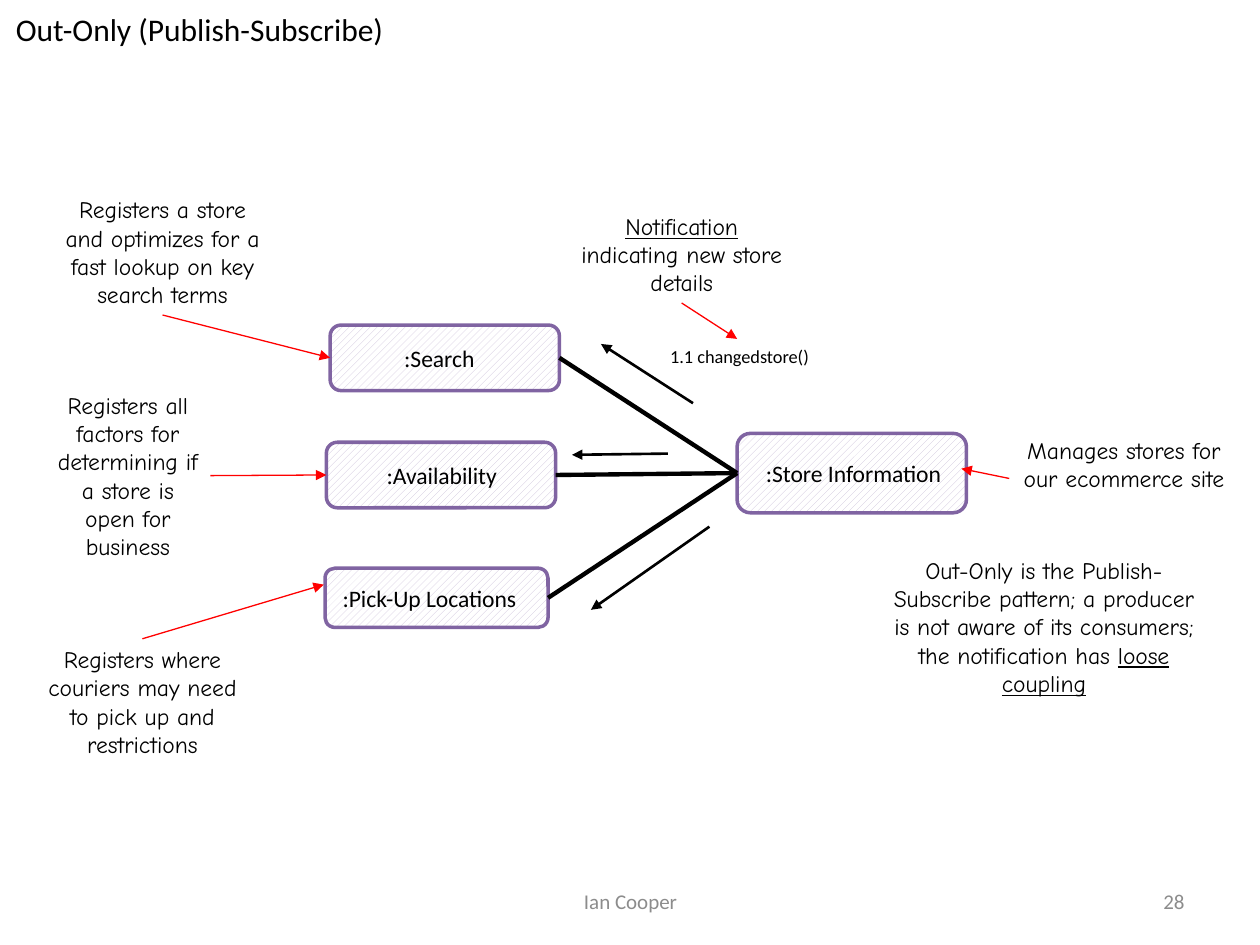
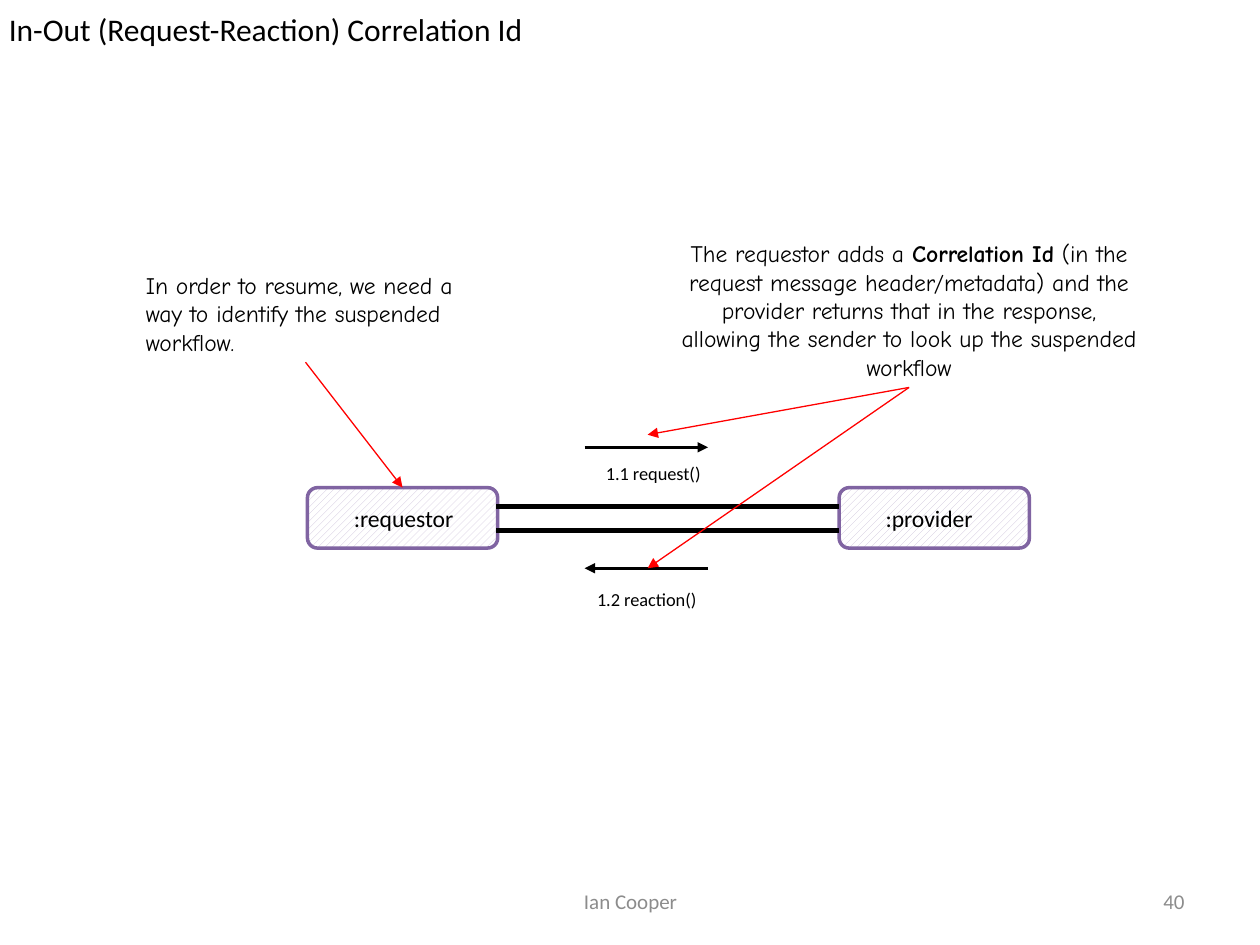
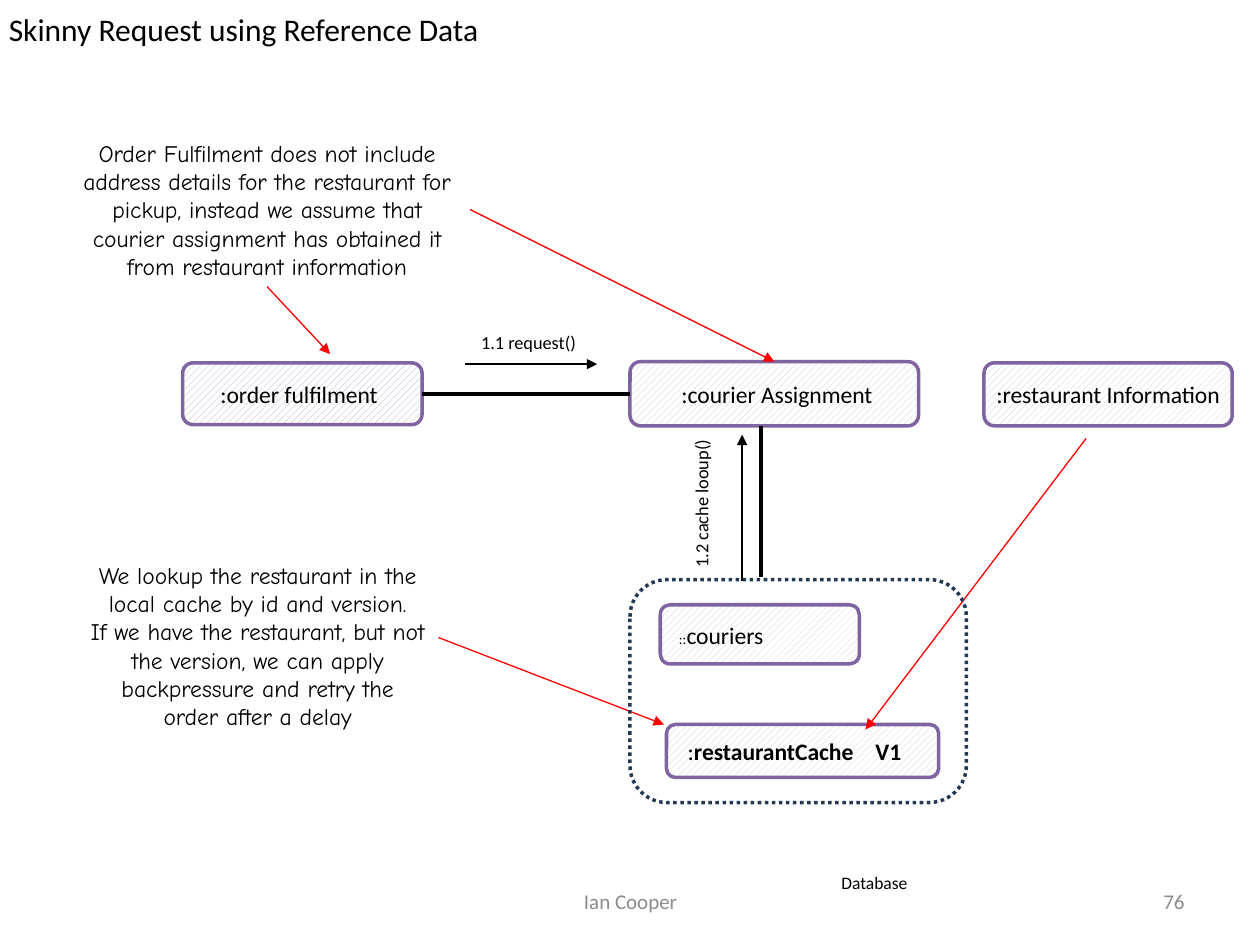
from dataclasses import dataclass
from math import ceil
from lxml.etree import SubElement
from pptx import Presentation
from pptx.dml.color import RGBColor
from pptx.enum.dml import MSO_LINE, MSO_PATTERN
from pptx.enum.shapes import MSO_CONNECTOR, MSO_SHAPE
from pptx.enum.text import MSO_ANCHOR, MSO_AUTO_SIZE, PP_ALIGN
from pptx.oxml.ns import qn
from pptx.util import Inches, Pt


@dataclass(frozen=True)
class Theme:
    body: str = "Calibri"
    hand: str = "Comic Neue"
    ink: RGBColor = RGBColor.from_string("000000")
    paper: RGBColor = RGBColor.from_string("FFFFFF")
    muted: RGBColor = RGBColor.from_string("8C8C8C")
    border: RGBColor = RGBColor.from_string("8064A2")
    hatch: RGBColor = RGBColor.from_string("CCC1DA")
    dark_hatch: RGBColor = RGBColor.from_string("B3A2C7")
    group: RGBColor = RGBColor.from_string("233953")
    pointer: RGBColor = RGBColor.from_string("FF0000")
    title: float = 18
    text: float = 13.5
    footer: float = 12
    message: float = 10.5
    caption: float = 10
    small: float = 8


T = Theme()
BOLD, UNDERLINE, SMALL = {"bold": True}, {"underline": True}, {"size": Pt(T.small)}
TOP, LEFT, BOTTOM, RIGHT = range(4)
LINE_STYLES = {
    "links": (T.ink, 2.5, False),
    "flows": (T.ink, 1.5, True),
    "pointers": (T.pointer, 0.75, True),
}


def add_text(s, x, y, content, size, w=None, font=T.body, color=T.ink, align=PP_ALIGN.LEFT, tab=None):
    paragraphs = [[(content, {})]] if isinstance(content, str) else content
    lengths = [sum(len(text) for text, style in runs) for runs in paragraphs]
    lines = 1
    if font == T.hand:
        lines = sum(ceil(n * 0.09 / (w - 0.2)) for n in lengths)
    if w is None:
        w = tab + 0.45 if tab else max(lengths) * size * 0.006 + 0.2
    h = lines * size / 60 + 0.1
    tb = s.shapes.add_textbox(*map(Inches, (x, y, w, h)))
    tf = tb.text_frame
    tf.word_wrap = True
    tf.auto_size = MSO_AUTO_SIZE.SHAPE_TO_FIT_TEXT
    for i, runs in enumerate(paragraphs):
        p = tf.add_paragraph() if i else tf.paragraphs[0]
        p.alignment = align
        if tab:
            tabs = SubElement(p._p.get_or_add_pPr(), qn("a:tabLst"))
            SubElement(tabs, qn("a:tab"), pos=str(Inches(tab)), algn="l")
        for text, style in runs:
            r = p.add_run()
            r.text = text
            r.font.name, r.font.size = font, Pt(size)
            r.font.color.rgb = color
            for key, value in style.items():
                setattr(r.font, key, value)
    return tb


slides = [
    {
        "title": " Out-Only (Publish-Subscribe)", "number": "28",
        "boxes": [
            (":Pick-Up Locations", 2.58, 4.51, 1.77, 0.47, 2.62),
            (":Store Information", 5.85, 3.44, 1.82, 0.63, 5.98),
            (":Search", 2.62, 2.58, 1.82, 0.52, 3.11),
            (":Availability", 2.59, 3.51, 1.82, 0.52, 2.97),
        ],
        "messages": [("1.1 changedstore()", 5.22, 2.69)],
        "notes": {
            "manages": (8.01, 3.41, 1.82, "Manages stores for our ecommerce site"),
            "search": (0.38, 1.5, 1.82,
                       "Registers a store and optimizes for a fast lookup on key search terms"),
            "notification": (4.5, 1.63, 1.82, [[
                ("Notification", UNDERLINE), (" indicating new store details", {})]]),
            "factors": (0.36, 3.05, 1.31,
                        "Registers all factors for determining if a store is open for business"),
            "couriers": (0.22, 5.07, 1.82,
                         "Registers where couriers may need to pick up and restrictions"),
            "pattern": (6.91, 4.36, 2.75, [[
                ("Out-Only is the Publish-Subscribe pattern; a producer is not aware of its consumers; "
                 "the notification has ", {}),
                ("loose coupling", UNDERLINE)]]),
        },
        "links": [((":Store Information", LEFT), (name, RIGHT))
                  for name in (":Search", ":Pick-Up Locations", ":Availability")],
        "flows": [((5.5, 3.2), (4.77, 2.73)), ((5.63, 4.18), (4.69, 4.84)), ((5.3, 3.6), (4.54, 3.61))],
        "pointers": [
            (("manages", LEFT), (7.63, 3.72)),
            (("search", BOTTOM), (":Search", LEFT)),
            (("notification", BOTTOM), (5.85, 2.69)),
            (("factors", RIGHT), (":Availability", LEFT)),
            (("couriers", TOP), (2.57, 4.64)),
        ],
    },
    {
        "title": "In-Out (Request-Reaction) Correlation Id", "number": "40",
        "boxes": [
            (":requestor", 2.44, 3.87, 1.51, 0.48, 2.71),
            (":provider", 6.66, 3.87, 1.51, 0.48, 6.93),
        ],
        "messages": [("1.1 request()", 4.71, 3.62), ("1.2 reaction()", 4.64, 4.62)],
        "notes": {
            "correlation": (5.31, 1.85, 3.81, [[
                ("The requestor adds a ", {}),
                ("Correlation Id", BOLD),
                (" (in the request message header/metadata) and the provider returns that in the response, "
                 "allowing the sender to look up the suspended workflow", {})]]),
            "resume": (1.06, 2.1, 2.73,
                       "In order to resume, we need a way to identify the suspended workflow."),
        },
        "links": [((3.94, y), (6.66, y)) for y in (4.02, 4.21)],
        "flows": [((4.64, 3.55), (5.62, 3.55)), ((5.62, 4.51), (4.64, 4.51))],
        "pointers": [
            (("correlation", BOTTOM), (5.14, 4.51)),
            (("correlation", BOTTOM), (5.14, 3.45)),
            (("resume", BOTTOM), (":requestor", TOP)),
        ],
    },
    {
        "title": "Skinny Request using Reference Data", "number": "76",
        "boxes": [
            (":order fulfilment", 1.45, 2.88, 1.9, 0.49, 1.65),
            (":courier Assignment", 5, 2.87, 2.29, 0.51, 5.31),
            (":restaurantCache", 5.29, 5.75, 2.16, 0.42, 5.36),
            ("::couriers", 5.24, 4.8, 1.58, 0.47, 5.29),
            (":restaurant Information", 7.81, 2.88, 1.97, 0.5, 7.81),
        ],
        "messages": [("1.1 request()", 3.72, 2.58), ("1.2 cache looup()", 4.93, 3.83)],
        "notes": {
            "address": (0.51, 1.05, 3.22,
                        "Order Fulfilment does not include address details for the restaurant for pickup, "
                        "instead we assume that courier assignment has obtained it from restaurant "
                        "information"),
            "lookup": (0.62, 4.4, 2.85, [
                [("We lookup the restaurant in the local cache by id and version.", {})],
                [("If we have the restaurant, but not the version, we can apply backpressure and retry "
                  "the order after a delay", {})]]),
        },
        "links": [
            ((":order fulfilment", RIGHT), (":courier Assignment", LEFT)),
            ((6.04, 4.58), (6.04, 3.38)),
        ],
        "flows": [((3.69, 2.89), (4.74, 2.89)), ((5.89, 4.61), (5.89, 3.45))],
        "pointers": [
            (("address", BOTTOM), (2.62, 2.81)),
            (("address", RIGHT), (":courier Assignment", TOP)),
            ((3.48, 5.06), (5.27, 5.75)),
            ((8.62, 3.48), (6.87, 5.79)),
        ],
    },
]
rich_labels = {
    "::couriers": [[("::", SMALL), ("couriers", {})]],
    ":restaurantCache": [[(":", {}), ("restaurantCache\tV1", BOLD)]],
}
label_tabs = {":restaurantCache": 1.49}

prs = Presentation()
prs.slide_width, prs.slide_height = Inches(10), Inches(7.5)

for d in slides:
    s = prs.slides.add_slide(prs.slide_layouts[6])
    shapes = {}

    tf = add_text(s, 0, 0.01, d["title"], T.title, w=10).text_frame
    tf.margin_left = tf.margin_right = tf.margin_top = tf.margin_bottom = Inches(0.07)

    for x, w, text, align in [(3.42, 3.17, "Ian Cooper", PP_ALIGN.CENTER),
                              (7.17, 2.33, d["number"], PP_ALIGN.RIGHT)]:
        tb = add_text(s, x, 6.95, text, T.footer, w=w, color=T.muted, align=align)
        tb.height = Inches(0.4)
        tb.text_frame.auto_size = MSO_AUTO_SIZE.NONE
        tb.text_frame.vertical_anchor = MSO_ANCHOR.MIDDLE

    for name, x, y, w, h, label_x in d["boxes"]:
        sp = s.shapes.add_shape(MSO_SHAPE.ROUNDED_RECTANGLE, *map(Inches, (x, y, w, h)))
        sp.shadow.inherit = False
        sp.fill.patterned()
        sp.fill.pattern = MSO_PATTERN.WIDE_UPWARD_DIAGONAL
        sp.fill.fore_color.rgb = T.dark_hatch if name == ":order fulfilment" else T.hatch
        sp.fill.back_color.rgb = T.paper
        sp.line.color.rgb = T.border
        sp.line.width = Pt(2)
        shapes[name] = sp
        add_text(s, label_x, y + h / 2 - 0.16, rich_labels.get(name, name), T.text,
                 tab=label_tabs.get(name))

    for text, x, y in d["messages"]:
        shapes[text] = add_text(s, x, y, text, T.message)

    for name, (x, y, w, content) in d["notes"].items():
        align = PP_ALIGN.LEFT if name == "resume" else PP_ALIGN.CENTER
        shapes[name] = add_text(s, x, y, content, T.text, w=w, font=T.hand, align=align)

    for kind, (color, width, arrow) in LINE_STYLES.items():
        for start, end in d[kind]:
            c = s.shapes.add_connector(MSO_CONNECTOR.STRAIGHT, 0, 0, 0, 0)
            if start[0] in shapes:
                c.begin_connect(shapes[start[0]], start[1])
            else:
                c.begin_x, c.begin_y = map(Inches, start)
            if end[0] in shapes:
                c.end_connect(shapes[end[0]], end[1])
            else:
                c.end_x, c.end_y = map(Inches, end)
            c.line.color.rgb = color
            c.line.width = Pt(width)
            if arrow:
                SubElement(c.line._get_or_add_ln(), qn("a:tailEnd"), type="triangle")
            SubElement(c._element.spPr, qn("a:effectLst"))

shapes["1.2 cache looup()"].rotation = 270

database = s.shapes.add_shape(MSO_SHAPE.ROUNDED_RECTANGLE, *map(Inches, (5, 4.6, 2.67, 1.77)))
database.shadow.inherit = False
database.fill.background()
database.line.color.rgb = T.group
database.line.width = Pt(2)
database.line.dash_style = MSO_LINE.ROUND_DOT
add_text(s, 6.58, 6.87, "Database", T.caption, w=0.75)

prs.save("out.pptx")
